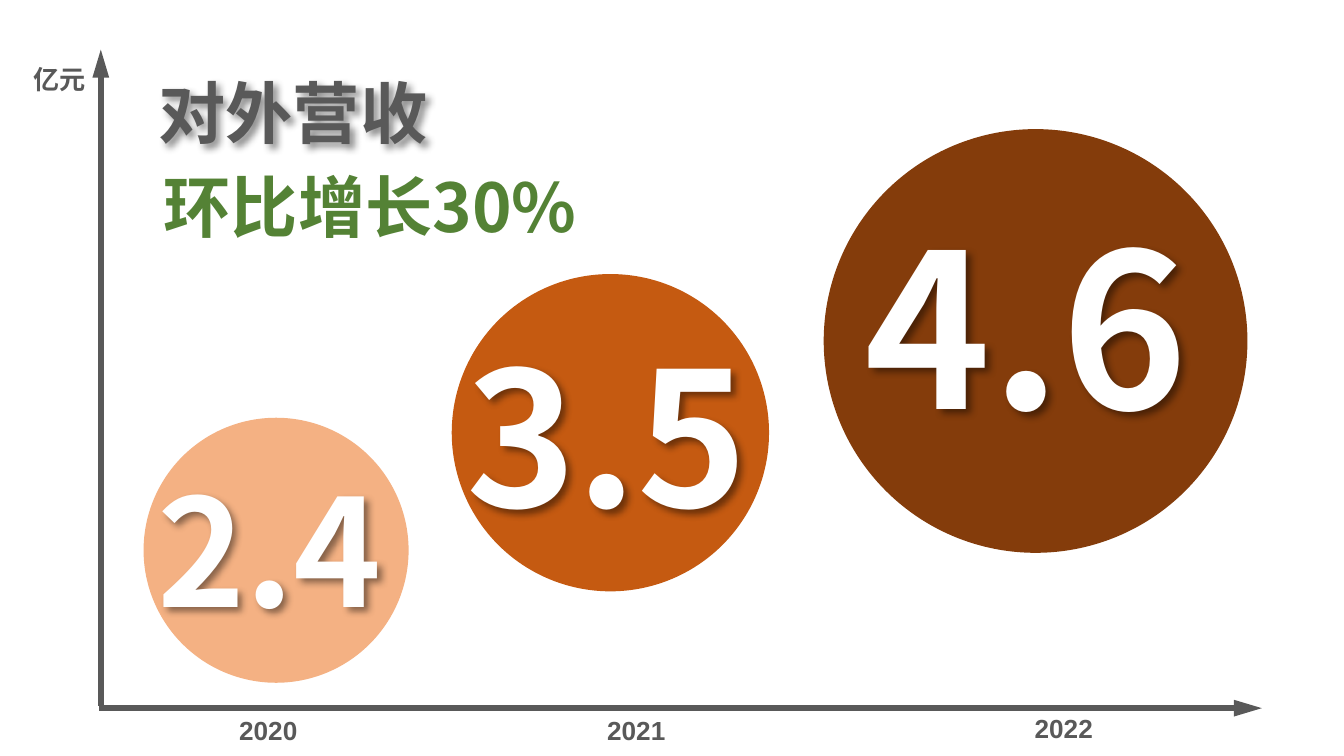
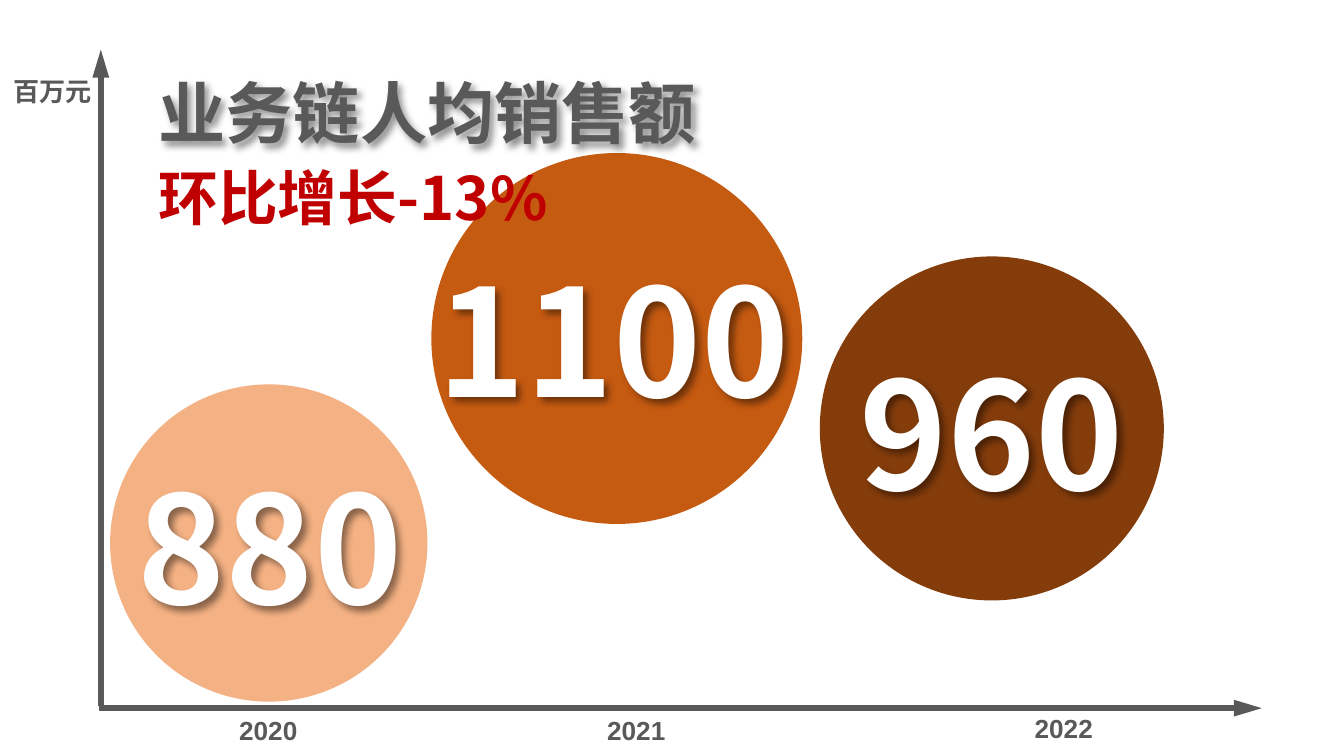
from collections import namedtuple

from lxml.etree import SubElement
from pptx import Presentation
from pptx.dml.color import RGBColor
from pptx.enum.shapes import MSO_CONNECTOR, MSO_SHAPE
from pptx.enum.text import MSO_AUTO_SIZE, PP_ALIGN
from pptx.oxml.ns import qn
from pptx.util import Pt

Box = namedtuple("Box", "left top width height")
Bubble = namedtuple("Bubble", "value left top diameter size dx dy")

GREY = "595959"
WHITE = "FFFFFF"
GREEN = "548235"
RED = "C00000"
YEAR_COLOURS = ["F4B183", "C55A11", "843C0B"]
HEADING_FONT = "Noto Sans CJK SC"
LABEL_FONT = "Arial"
PLOT = Box(53, 26.6, 623, 352.8)
YEARS = [("2020", 68, 0), ("2021", 265.2, 0), ("2022", 494.2, -1.4)]


def colour(hex_value):
    return RGBColor.from_string(hex_value)


def add_effects(properties, shadowed=False):
    effects = SubElement(properties, qn("a:effectLst"))
    if shadowed:
        shadow = SubElement(effects, qn("a:outerShdw"), blurRad=str(Pt(4)),
                            dist=str(Pt(3)), dir="2700000", algn="tl", rotWithShape="0")
        black = SubElement(shadow, qn("a:srgbClr"), val="000000")
        SubElement(black, qn("a:alpha"), val="43000")


def add_text(slide, box, text, size, hex_value, font=HEADING_FONT,
             align=PP_ALIGN.LEFT, spacing=None, wrap=False, shadowed=False):
    holder = slide.shapes.add_textbox(*map(Pt, box))
    frame = holder.text_frame
    frame.text = text
    frame.word_wrap = wrap
    frame.auto_size = MSO_AUTO_SIZE.SHAPE_TO_FIT_TEXT
    paragraph = frame.paragraphs[0]
    paragraph.alignment = align
    if spacing:
        paragraph.line_spacing = spacing
    run = paragraph.runs[0]
    run.font.size = Pt(size)
    run.font.bold = True
    run.font.name = font
    run.font.color.rgb = colour(hex_value)
    SubElement(run.font._element, qn("a:ea"), typeface=font)
    if shadowed:
        add_effects(holder._element.spPr, shadowed=True)


def add_bubble(slide, bubble, hex_value):
    circle = slide.shapes.add_shape(
        MSO_SHAPE.OVAL, Pt(bubble.left), Pt(bubble.top),
        Pt(bubble.diameter), Pt(bubble.diameter))
    circle.shadow.inherit = False
    circle.fill.solid()
    circle.fill.fore_color.rgb = colour(hex_value)
    circle.line.fill.background()

    dots = bubble.value.count(".")
    digits = len(bubble.value) - dots
    width = 14.4 + bubble.size * (0.62 * digits + 0.29 * dots)
    height = 7.2 + bubble.size * 1.215
    radius = bubble.diameter / 2
    number_box = Box(bubble.left + radius + bubble.dx - width / 2,
                     bubble.top + radius + bubble.dy - height / 2, width, height)
    add_text(slide, number_box, bubble.value, bubble.size, WHITE,
             align=PP_ALIGN.CENTER, shadowed=True)


def add_axis(slide, start, end):
    axis = slide.shapes.add_connector(MSO_CONNECTOR.STRAIGHT, *map(Pt, start + end))
    axis.line.color.rgb = colour(GREY)
    axis.line.width = Pt(3)
    SubElement(axis.line._get_or_add_ln(), qn("a:tailEnd"),
               type="triangle", w="med", len="lg")
    add_effects(axis._element.spPr)


def add_axes(slide, box, unit, unit_box):
    bottom = box.top + box.height
    add_axis(slide, (box.left, bottom), (box.left + box.width, bottom))
    add_axis(slide, (box.left + 1, bottom - 1.4), (box.left + 1, box.top))
    for year, dx, dy in YEARS:
        year_box = Box(box.left + dx, bottom + dy, 46, 24.5)
        add_text(slide, year_box, year, 14, GREY, LABEL_FONT)
    add_text(slide, unit_box, unit, 14, GREY, LABEL_FONT)


def add_bubble_slide(deck, title, title_width, bubbles, unit, unit_box,
                     growth, growth_box, growth_size, growth_colour):
    slide = deck.slides.add_slide(deck.slide_layouts[6])
    for bubble, hex_value in reversed(list(zip(bubbles, YEAR_COLOURS))):
        add_bubble(slide, bubble, hex_value)
    add_text(slide, Box(77.8, 13, title_width, 72.7), title, 36, GREY,
             spacing=1.5, shadowed=True)
    add_axes(slide, PLOT, unit, unit_box)
    add_text(slide, growth_box, growth, growth_size, growth_colour,
             spacing=1.5, wrap=True)


def main():
    deck = Presentation()
    deck.slide_width, deck.slide_height = Pt(720), Pt(405)
    add_bubble_slide(
        deck, "对外营收", 160,
        [Bubble("2.4", 76.9, 223.8, 142, 80, -3.5, -0.7),
         Bubble("3.5", 242, 146.8, 170, 100, -1.8, 0.8),
         Bubble("4.6", 441.3, 69.2, 227, 115, -5, -8.3)],
        "亿元", Box(10.8, 30.2, 42.5, 24.5),
        "环比增长30%", Box(80.6, 63.4, 239, 72.7), 36, GREEN)
    add_bubble_slide(
        deck, "业务链人均销售额", 305,
        [Bubble("880", 59, 205.9, 170, 80, 0.7, 1.8),
         Bubble("1100", 231.1, 82, 198.7, 80, -1.8, 0.3),
         Bubble("960", 439.2, 137.4, 184.3, 80, 0, 1.8)],
        "百万元", Box(0, 36.7, 56.9, 24.5),
        "环比增长-13%", Box(77.8, 63.4, 227.5, 58.3), 32, RED)
    deck.save("out.pptx")


if __name__ == "__main__":
    main()
